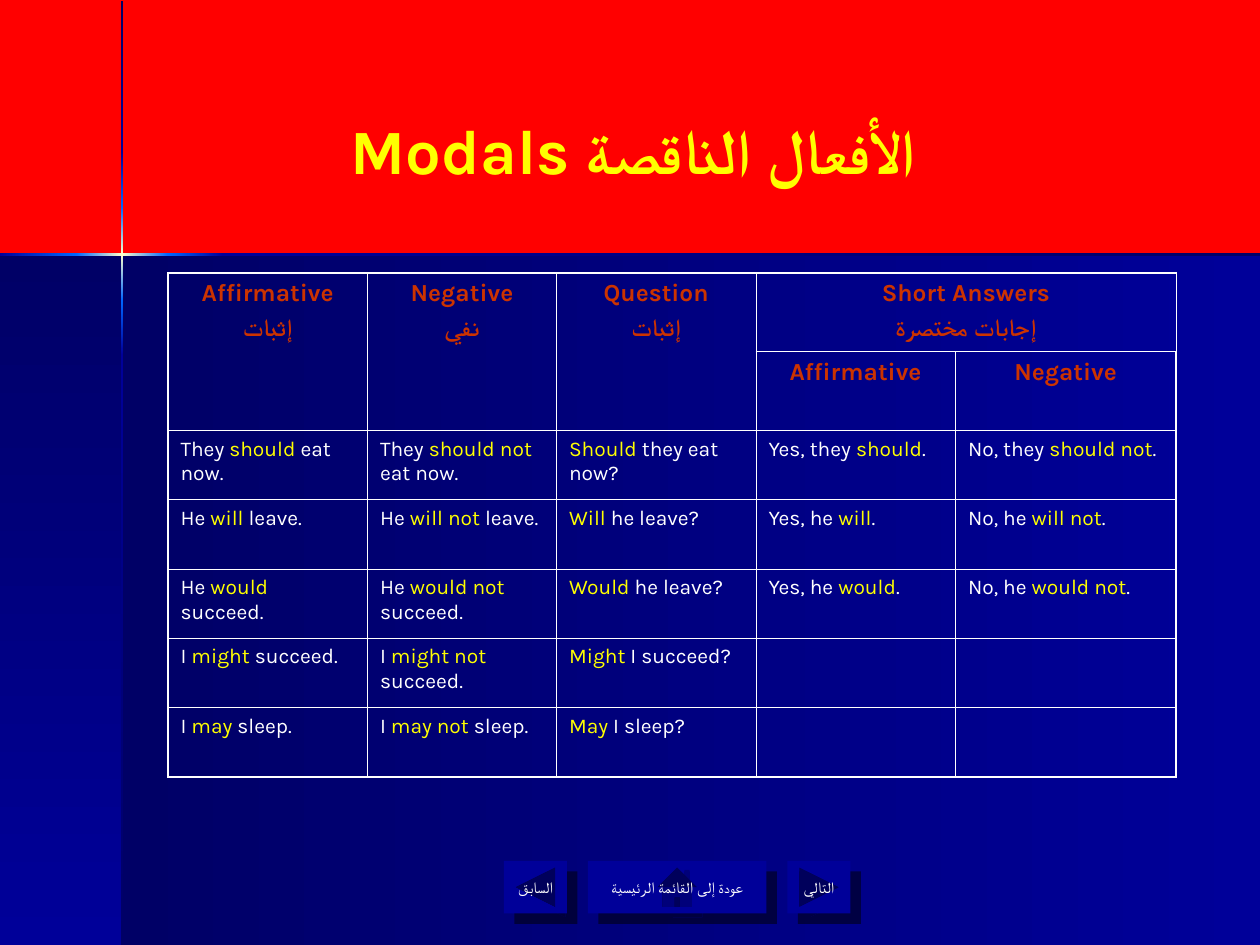
from copy import deepcopy
from itertools import pairwise

from lxml import etree
from pptx import Presentation
from pptx import util as u
from pptx.dml import color
from pptx.enum import shapes, text
from pptx.oxml import ns

COLS, ROWS = 120, 90
CROSS = 11.64, 24.24
THICK = 0.24
FONT = "Karla"
WHITE, YELLOW, RUST = "FFFFFF", "FFFF00", "CC3300"
NAVY, BLUE, SKY, GLOW = "000066", "000099", "0066FF", "FFFFCC"
BEAMS = [(NAVY, BLUE), (BLUE, SKY), (SKY, GLOW, SKY), (SKY, BLUE), (BLUE, NAVY)]
WIDTHS = [19, 18, 19, 19, 21]
HEIGHTS = [7.5] * 2 + [6.6] * 5
HEADS = [
    (0, 0, 1, 0, ["Affirmative", "إثبات"]),
    (0, 1, 1, 1, ["Negative", "نفي"]),
    (0, 2, 1, 2, ["Question", "إثبات"]),
    (0, 3, 0, 4, ["Short Answers", "إجابات مختصرة"]),
    (1, 3, 1, 3, ["Affirmative"]),
    (1, 4, 1, 4, ["Negative"]),
]
BODY = [
    ["They |should| eat now.", "They |should not| eat now.", "|Should| they eat now?",
     "Yes, they |should|.", "No, they |should not|."],
    ["He |will| leave.", "He |will not| leave.", "|Will| he leave?",
     "Yes, he |will|.", "No, he |will not|."],
    ["He |would| succeed.", "He |would not| succeed.", "|Would| he leave?",
     "Yes, he |would|.", "No, he |would not|."],
    ["I |might| succeed.", "I |might not| succeed.", "|Might| I succeed?"],
    ["I |may| sleep.", "I |may not| sleep.", "|May| I sleep?"],
]
BUTTONS = [
    (shapes.MSO_SHAPE.ACTION_BUTTON_FORWARD_OR_NEXT, 75, 6, "التالي"),
    (shapes.MSO_SHAPE.ACTION_BUTTON_BACK_OR_PREVIOUS, 48, 6, "السابق"),
    (shapes.MSO_SHAPE.ACTION_BUTTON_HOME, 56, 17, "عودة إلى القائمة الرئيسية"),
]


def rgb(code):
    return color.RGBColor.from_string(code)


def unit(count):
    return u.Inches(count / 12)


def node(base, tag, **attrs):
    return etree.SubElement(base, ns.qn(tag), attrs)


def write(para, words, size, tint, bold=False):
    run = para.add_run()
    run.text = words
    font = run.font
    font.size, font.bold, font.name = u.Pt(size), bold, FONT
    font.color.rgb = rgb(tint)
    node(run._r.get_or_add_rPr(), "a:cs", typeface=FONT)


def add_box(slide, kind, left, top, width, height):
    box = slide.shapes.add_shape(kind, *map(unit, (left, top, width, height)))
    box.shadow.inherit = False
    box.line.fill.background()
    return box


def add_fade(slide, left, top, width, height, tints, angle):
    box = add_box(slide, shapes.MSO_SHAPE.RECTANGLE, left, top, width, height)
    fill = box.fill
    fill.gradient()
    fill.gradient_angle = angle
    stops = box._element.xpath(".//a:gsLst")[0]
    for _ in tints[2:]:
        stops.append(deepcopy(stops[-1]))
    for i, (stop, tint) in enumerate(zip(fill.gradient_stops, tints)):
        stop.color.rgb = rgb(tint)
        stop.position = i / (len(tints) - 1)


def add_back(slide):
    fill = slide.background.fill
    fill.solid()
    fill.fore_color.rgb = rgb("FF0000")
    x, y = CROSS
    add_fade(slide, x, y, COLS - x, ROWS - y, (NAVY, BLUE), 0)
    add_fade(slide, 0, y, x, ROWS - y, (NAVY, BLUE), 270)
    downs = pairwise([0.12, 14.5, 19.8, 28.6, 33.8, ROWS])
    for (top, low), tints in zip(downs, BEAMS):
        add_fade(slide, x - THICK / 2, top, THICK, low - top, tints, 270)
    overs = pairwise([0, 7.25, 16, 21.25, COLS])
    for (left, right), tints in zip(overs, BEAMS[1:]):
        add_fade(slide, left, y - THICK / 2, right - left, THICK, tints, 0)


def add_title(slide):
    title = slide.shapes.title
    title.left, title.top, title.width, title.height = map(unit, (14, 4, 99, 18.8))
    frame = title.text_frame
    frame.vertical_anchor = text.MSO_ANCHOR.MIDDLE
    frame.margin_right = u.Inches(0.63)
    frame.margin_top = u.Inches(0.19)
    para = frame.paragraphs[0]
    para.alignment = text.PP_ALIGN.CENTER
    write(para, "Modals الأفعال الناقصة", 36, YELLOW, True)


def add_edges(cell, row, col):
    outer = {"L": col == 0, "R": col == len(WIDTHS) - 1,
             "T": row == 0, "B": row == len(HEIGHTS) - 1}
    props = cell._tc.get_or_add_tcPr()
    for side, edge in outer.items():
        line = node(props, f"a:ln{side}", w=str(u.Pt(1.08 if edge else 0.45)))
        node(node(line, "a:solidFill"), "a:srgbClr", val=WHITE)


def add_grid(slide):
    frame = slide.shapes.add_table(
        len(HEIGHTS), len(WIDTHS),
        *map(unit, (16, 26, sum(WIDTHS), sum(HEIGHTS))))
    table = frame.table
    table.first_row = table.horz_banding = False
    for col, width in zip(table.columns, WIDTHS):
        col.width = unit(width)
    for r, height in enumerate(HEIGHTS):
        table.rows[r].height = unit(height)
        for c in range(len(WIDTHS)):
            cell = table.cell(r, c)
            add_edges(cell, r, c)
            cell.fill.background()
    for top, left, low, right, lines in HEADS:
        cell = table.cell(top, left)
        if (top, left) != (low, right):
            cell.merge(table.cell(low, right))
        frame = cell.text_frame
        for i, words in enumerate(lines):
            para = frame.add_paragraph() if i else frame.paragraphs[0]
            para.alignment = text.PP_ALIGN.CENTER
            if i:
                para.space_before = u.Pt(3.5)
            write(para, words, 14, RUST, True)
    for r, row in enumerate(BODY, 2):
        for c, words in enumerate(row):
            para = table.cell(r, c).text_frame.paragraphs[0]
            for i, part in enumerate(words.split("|")):
                if part:
                    write(para, part, 12, YELLOW if i % 2 else WHITE)


def add_button(slide, kind, left, width, words):
    box = add_box(slide, kind, left, 82, width, 5)
    box.fill.solid()
    box.fill.fore_color.rgb = rgb(BLUE)
    effects = box._element.spPr.find(ns.qn("a:effectLst"))
    shade = node(effects, "a:outerShdw", dist=str(u.Pt(8.5)), dir="2700000",
                 algn="ctr", rotWithShape="0")
    node(node(shade, "a:srgbClr", val="000000"), "a:alpha", val="50000")
    frame = box.text_frame
    frame.word_wrap = False
    frame.vertical_anchor = text.MSO_ANCHOR.MIDDLE
    para = frame.paragraphs[0]
    para.alignment = text.PP_ALIGN.CENTER
    write(para, words, 9, WHITE)


def main():
    deck = Presentation()
    deck.slide_width, deck.slide_height = unit(COLS), unit(ROWS)
    slide = deck.slides.add_slide(deck.slide_layouts[5])
    add_back(slide)
    add_title(slide)
    add_grid(slide)
    for button in BUTTONS:
        add_button(slide, *button)
    deck.save("out.pptx")


if __name__ == "__main__":
    main()
